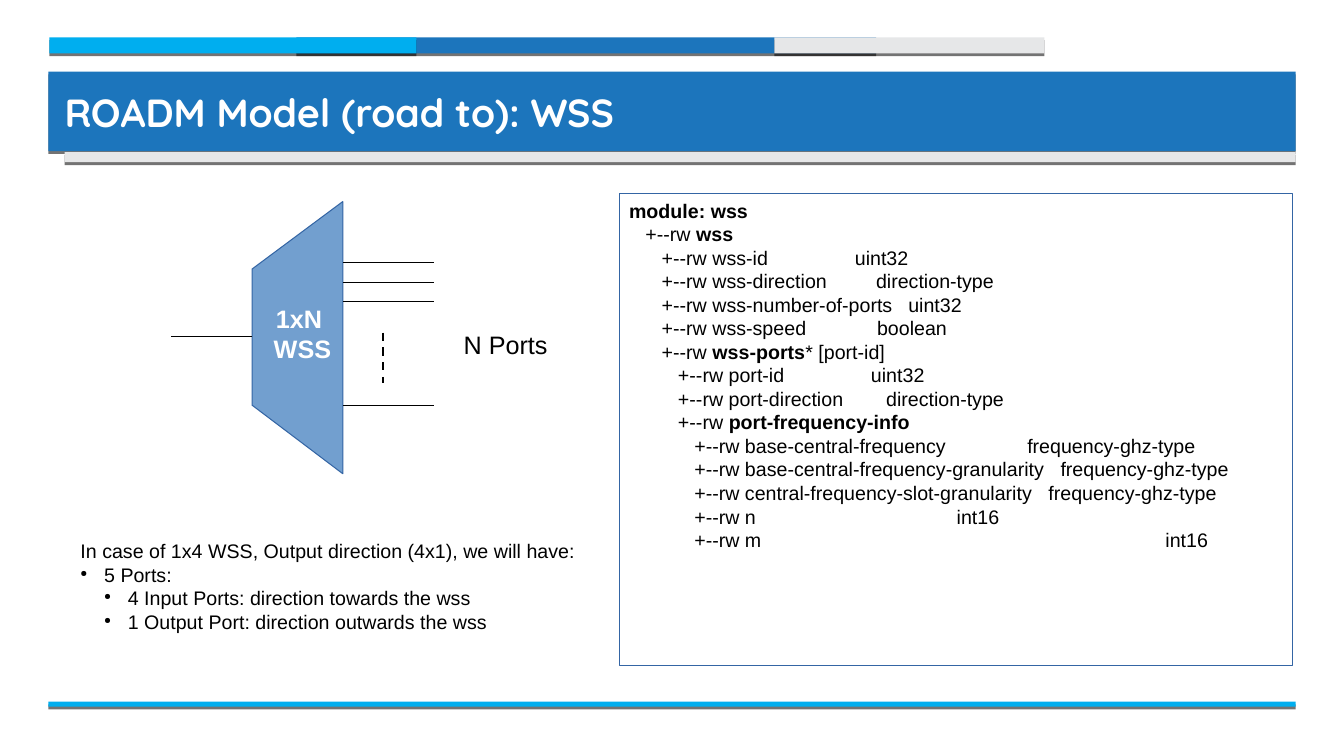
from lxml import etree
from pptx import Presentation
from pptx.dml.color import RGBColor
from pptx.enum import dml, shapes, text
from pptx.oxml import ns
from pptx.util import Inches, Pt

BLUE, CYAN, GREY = "1C75BC", "00AEEF", "E6E7E8"
BLACK, WHITE, EDGE = "000000", "FFFFFF", "3465A4"
STEP = 0.162  # indent of one tree level

# Bars: left, top, width, height, colour
BARS = [
    (2.94, 0.37, 5.75, 0.16, BLUE),
    (0.49, 0.37, 3.64, 0.16, CYAN),
    (7.68, 0.37, 2.68, 0.16, GREY),
    (0.48, 0.71, 12.37, 0.79, BLUE),
    (0.64, 1.51, 12.21, 0.1, GREY),
    (0.48, 6.96, 12.37, 0.05, CYAN),
]

# Tree: level, name (bold between bars), type, type column
TREE = [
    (0, "|module: wss|", "", 0),
    (1, "+--rw |wss|", "", 0),
    (2, "+--rw wss-id", "uint32", 2.24),
    (2, "+--rw wss-direction", "direction-type", 2.45),
    (2, "+--rw wss-number-of-ports", "uint32", 2.77),
    (2, "+--rw wss-speed", "boolean", 2.46),
    (2, "+--rw |wss-ports|* [port-id]", "", 0),
    (3, "+--rw port-id", "uint32", 2.4),
    (3, "+--rw port-direction", "direction-type", 2.55),
    (3, "+--rw |port-frequency-info|", "", 0),
    (4, "+--rw base-central-frequency", "frequency-ghz-type", 3.95),
    (4, "+--rw base-central-frequency-granularity", "frequency-ghz-type", 4.28),
    (4, "+--rw central-frequency-slot-granularity", "frequency-ghz-type", 4.16),
    (4, "+--rw n", "int16", 3.25),
    (4, "+--rw m", "int16", 5.32),
]

# Notes: level, text
NOTES = [
    (0, "In case of 1x4 WSS, Output direction (4x1), we will have:"),
    (1, "5 Ports:"),
    (2, "4 Input Ports: direction towards the wss"),
    (2, "1 Output Port: direction outwards the wss"),
]


def rgb(code):
    return RGBColor.from_string(code)


def node(up, tag, **attrs):
    item = etree.SubElement(up, ns.qn("a:" + tag))
    for key, val in attrs.items():
        item.set(key, str(val))
    return item


def paint(shape, fill, line=None):
    shape.shadow.inherit = False
    shape.fill.solid()
    shape.fill.fore_color.rgb = rgb(fill)
    if line:
        shape.line.color.rgb = rgb(line)
        shape.line.width = Pt(0.75)
    else:
        shape.line.fill.background()


def box(slide, at, fill, line=None):
    shape = slide.shapes.add_shape(
        shapes.MSO_SHAPE.RECTANGLE, *[Inches(n) for n in at])
    paint(shape, fill, line)
    return shape


def bar(slide, *at, color):
    shape = box(slide, at, color)
    props = shape._element.spPr
    list_ = props.find(ns.qn("a:effectLst"))
    cast = node(list_, "outerShdw", blurRad=0, dist=Pt(2), dir=5400000,
                algn="ctr", rotWithShape=0)
    node(node(cast, "srgbClr", val=BLACK), "alpha", val=55000)


def wire(slide, x1, y1, x2, y2, width=0.75, dash=None):
    line = slide.shapes.add_connector(
        shapes.MSO_CONNECTOR.STRAIGHT, *[Inches(n) for n in (x1, y1, x2, y2)])
    line.line.color.rgb = rgb(BLACK)
    line.line.width = Pt(width)
    if dash:
        line.line.dash_style = dash
    node(line._element.spPr, "effectLst")


def label(slide, at):
    return slide.shapes.add_textbox(*[Inches(n) for n in at])


def write(shape, lines, size=14, color=BLACK, font="Arial", bold=False,
          align=text.PP_ALIGN.LEFT, anchor=text.MSO_ANCHOR.TOP, pad=None):
    """Fill a shape; parts between bars are set bold."""
    frame = shape.text_frame
    frame.word_wrap = True
    frame.vertical_anchor = anchor
    if pad is not None:
        frame.margin_left = frame.margin_right = Inches(pad)
        frame.margin_top = frame.margin_bottom = Inches(pad)
    for i, line in enumerate(lines):
        para = frame.add_paragraph() if i else frame.paragraphs[0]
        para.alignment = align
        for j, part in enumerate(line.split("|")):
            if part:
                run = para.add_run()
                run.text = part
                run.font.size = Pt(size)
                run.font.name = font
                run.font.bold = bold or j % 2 == 1
                run.font.color.rgb = rgb(color)
    return frame.paragraphs


def tabs(para, stops):
    group = node(para._p.get_or_add_pPr(), "tabLst")
    for stop in stops:
        node(group, "tab", pos=Inches(stop), algn="l")


def bullet(para, level):
    para.level = level - 1
    props = para._p.get_or_add_pPr()
    props.set("marL", str(Inches(0.235 * level)))
    props.set("indent", str(Inches(-0.235)))
    node(node(props, "buClr"), "srgbClr", val=BLACK)
    node(props, "buSzPct", val=45000)
    node(props, "buChar", char="●")


def tree(slide):
    panel = box(slide, (6.14, 1.92, 6.68, 4.68), WHITE, EDGE)
    lines = []
    for level, name, kind, col in TREE:
        lines.append(("\t" if level else "") + name
                     + ("\t" + kind if kind else ""))
    for para, (level, name, kind, col) in zip(write(panel, lines), TREE):
        stops = [n for n in (level * STEP, col) if n]
        if stops:
            tabs(para, stops)


def switch(slide):
    # Body
    pen = slide.shapes.build_freeform(
        Inches(3.4), Inches(2), scale=1.0)
    pen.add_line_segments(
        [(Inches(x), Inches(y))
         for x, y in ((3.4, 4.7), (2.5, 4.02), (2.5, 2.67))], close=True)
    paint(pen.convert_to_shape(), "729FCF", EDGE)
    # Ports
    for y in (2.6, 2.8, 2.99, 4.02):
        wire(slide, 3.4, y, 4.3, y)
    wire(slide, 2.5, 3.34, 1.7, 3.34)
    wire(slide, 3.8, 3.3, 3.8, 3.8, 1.5, dml.MSO_LINE.DASH)
    # Labels
    write(label(slide, (4.5, 3.22, 1.2, 0.38)), ["N Ports"], size=18)
    write(label(slide, (2.6, 2.96, 0.8, 0.66)), ["1xN ", "WSS"], size=18,
          color=WHITE, bold=True, align=text.PP_ALIGN.CENTER)


def notes(slide):
    area = label(slide, (0.7, 5.3, 5.2, 0.97))
    paras = write(area, [line for level, line in NOTES])
    for para, (level, line) in zip(paras, NOTES):
        if level:
            bullet(para, level)


def main():
    deck = Presentation()
    deck.slide_width, deck.slide_height = Inches(13.33), Inches(7.5)
    slide = deck.slides.add_slide(deck.slide_layouts[6])
    # Frame and title
    for *at, color in BARS:
        bar(slide, *at, color=color)
    write(label(slide, (0.64, 0.77, 12.06, 0.68)),
          ["ROADM Model (road to): WSS"], size=28, color=WHITE,
          font="Quicksand", bold=True, anchor=text.MSO_ANCHOR.MIDDLE, pad=0)
    # Content
    tree(slide)
    switch(slide)
    notes(slide)
    deck.save("out.pptx")


if __name__ == "__main__":
    main()
